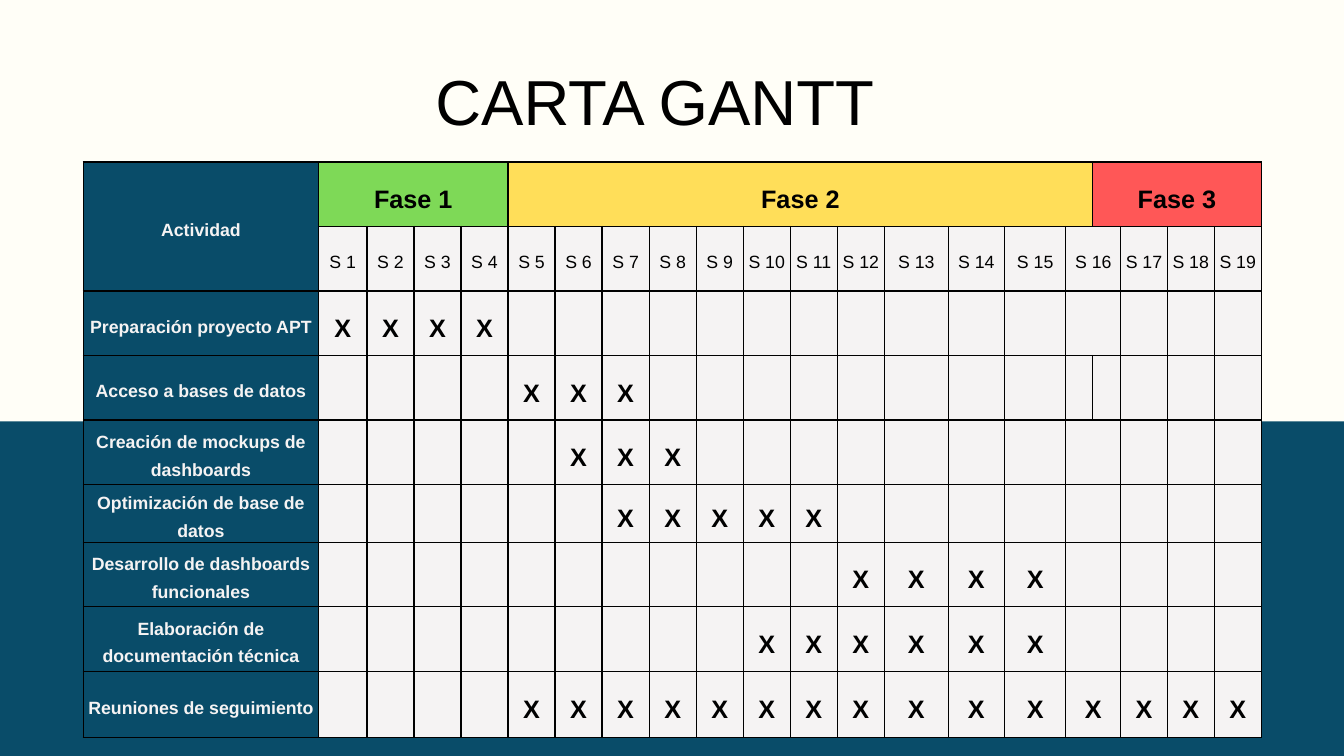
from lxml.etree import SubElement
from pptx import Presentation
from pptx.dml.color import RGBColor
from pptx.enum.shapes import MSO_SHAPE
from pptx.enum.text import MSO_ANCHOR, MSO_AUTO_SIZE, PP_ALIGN
from pptx.oxml.ns import qn
from pptx.util import Inches, Pt

# Palette
CREAM = RGBColor(0xFF, 0xFE, 0xF7)
NAVY = RGBColor(0x09, 0x4C, 0x69)
PALE = RGBColor(0xF5, 0xF3, 0xF3)
BLACK = RGBColor(0, 0, 0)
GREEN = RGBColor(0x7E, 0xD9, 0x57)
YELLOW = RGBColor(0xFF, 0xDE, 0x59)
RED = RGBColor(0xFF, 0x57, 0x57)

# Slide and grid, in inches
SLIDE_W, SLIDE_H = 20, 11.25
GRID_LEFT, GRID_TOP = 1.24, 2.41
COLUMNS = [3.5, 0.72] + [0.7] * 11 + [0.95, 0.84, 0.91, 0.4, 0.42, 0.69, 0.7, 0.7]
ROWS = [0.96] * 5 + [0.85, 0.96, 0.96, 0.99]

# Text formats of the table
LABEL = {"size": Pt(19), "bold": True, "color": PALE}
WEEK = {"size": Pt(19), "bold": False, "color": BLACK}
MARK = {"size": Pt(27), "bold": True, "color": BLACK}

# Content: phases by first column and span, activities by first and last week
PHASES = [("Fase 1", 1, 4, GREEN), ("Fase 2", 5, 12, YELLOW), ("Fase 3", 17, 4, RED)]
ACTIVITIES = [
    ("Preparación proyecto APT", 1, 4),
    ("Acceso a bases de datos", 5, 7),
    ("Creación de mockups de dashboards", 6, 8),
    ("Optimización de base de datos", 7, 11),
    ("Desarrollo de dashboards funcionales", 12, 15),
    ("Elaboración de documentación técnica", 10, 15),
    ("Reuniones de seguimiento", 5, 19),
]
WEEKS = range(1, 20)
SPLIT_WEEK = 16  # covers two columns, as Fase 3 starts halfway through it
SPLIT_ACTIVITY = "Acceso a bases de datos"  # keeps the two halves apart


def week_column(week):
    return week if week <= SPLIT_WEEK else week + 1


def format_font(font, color, **values):
    font.name = "Arial"
    font.color.rgb = color
    for attribute, value in values.items():
        setattr(font, attribute, value)


def paint_cell(cell, color):
    properties = cell._tc.get_or_add_tcPr()
    for side in ("a:lnL", "a:lnR", "a:lnT", "a:lnB"):
        border = SubElement(properties, qn(side), w=str(Pt(1.5)))
        SubElement(SubElement(border, qn("a:solidFill")), qn("a:srgbClr"), val=str(BLACK))
    cell.fill.solid()
    cell.fill.fore_color.rgb = color


def write_cell(cell, text, style):
    layout = {"vertical_anchor": MSO_ANCHOR.MIDDLE}
    for side in ("left", "right", "top", "bottom"):
        layout[f"margin_{side}"] = Inches(0.02)
    for attribute, value in layout.items():
        setattr(cell, attribute, value)
    paragraph = cell.text_frame.paragraphs[0]
    paragraph.alignment = PP_ALIGN.CENTER
    paragraph.line_spacing = 1.4
    run = paragraph.add_run()
    run.text = text
    format_font(run.font, **style)


def add_lower_band(slide):
    band = slide.shapes.add_shape(
        MSO_SHAPE.RECTANGLE, Inches(-0.57), Inches(6.27), Inches(21.22), Inches(5.4))
    band.shadow.inherit = False
    band.fill.solid()
    band.fill.fore_color.rgb = NAVY
    band.line.fill.background()


def add_title(slide, text):
    title = slide.shapes.add_textbox(Inches(6.48), Inches(0.76), Inches(7.04), Inches(1.09))
    frame = title.text_frame
    settings = {"word_wrap": True, "auto_size": MSO_AUTO_SIZE.SHAPE_TO_FIT_TEXT,
                "margin_left": 0, "margin_right": 0, "margin_top": 0, "margin_bottom": 0}
    for attribute, value in settings.items():
        setattr(frame, attribute, value)
    paragraph = frame.paragraphs[0]
    paragraph.line_spacing = 1.14
    run = paragraph.add_run()
    run.text = text
    format_font(run.font, BLACK, size=Pt(68.1))


def add_grid(slide):
    gantt = slide.shapes.add_table(
        len(ROWS), len(COLUMNS), Inches(GRID_LEFT), Inches(GRID_TOP),
        Inches(sum(COLUMNS)), Inches(sum(ROWS))).table
    gantt.first_row = gantt.horz_banding = False
    for column, width in zip(gantt.columns, COLUMNS):
        column.width = Inches(width)
    for row, height in zip(gantt.rows, ROWS):
        row.height = Inches(height)
        for index, cell in enumerate(row.cells):
            paint_cell(cell, PALE if index else NAVY)
    return gantt


def merge_split_week(gantt, row):
    gantt.cell(row, SPLIT_WEEK).merge(gantt.cell(row, SPLIT_WEEK + 1))


def fill_header(gantt):
    gantt.cell(0, 0).merge(gantt.cell(1, 0))
    write_cell(gantt.cell(0, 0), "Actividad", LABEL)
    for phase, first, span, color in PHASES:
        for column in range(first, first + span):
            gantt.cell(0, column).fill.fore_color.rgb = color
        gantt.cell(0, first).merge(gantt.cell(0, first + span - 1))
        write_cell(gantt.cell(0, first), phase, MARK)
    merge_split_week(gantt, 1)
    for week in WEEKS:
        write_cell(gantt.cell(1, week_column(week)), f"S {week}", WEEK)


def fill_activities(gantt):
    for row, (activity, first, last) in enumerate(ACTIVITIES, start=2):
        write_cell(gantt.cell(row, 0), activity, LABEL)
        if activity != SPLIT_ACTIVITY:
            merge_split_week(gantt, row)
        for week in range(first, last + 1):
            write_cell(gantt.cell(row, week_column(week)), "X", MARK)


def main():
    deck = Presentation()
    deck.slide_width, deck.slide_height = Inches(SLIDE_W), Inches(SLIDE_H)
    slide = deck.slides.add_slide(deck.slide_layouts[6])

    # Background
    slide.background.fill.solid()
    slide.background.fill.fore_color.rgb = CREAM
    add_lower_band(slide)

    # Gantt chart
    gantt = add_grid(slide)
    fill_header(gantt)
    fill_activities(gantt)

    # Title
    add_title(slide, "CARTA GANTT")
    deck.save("out.pptx")


if __name__ == "__main__":
    main()
